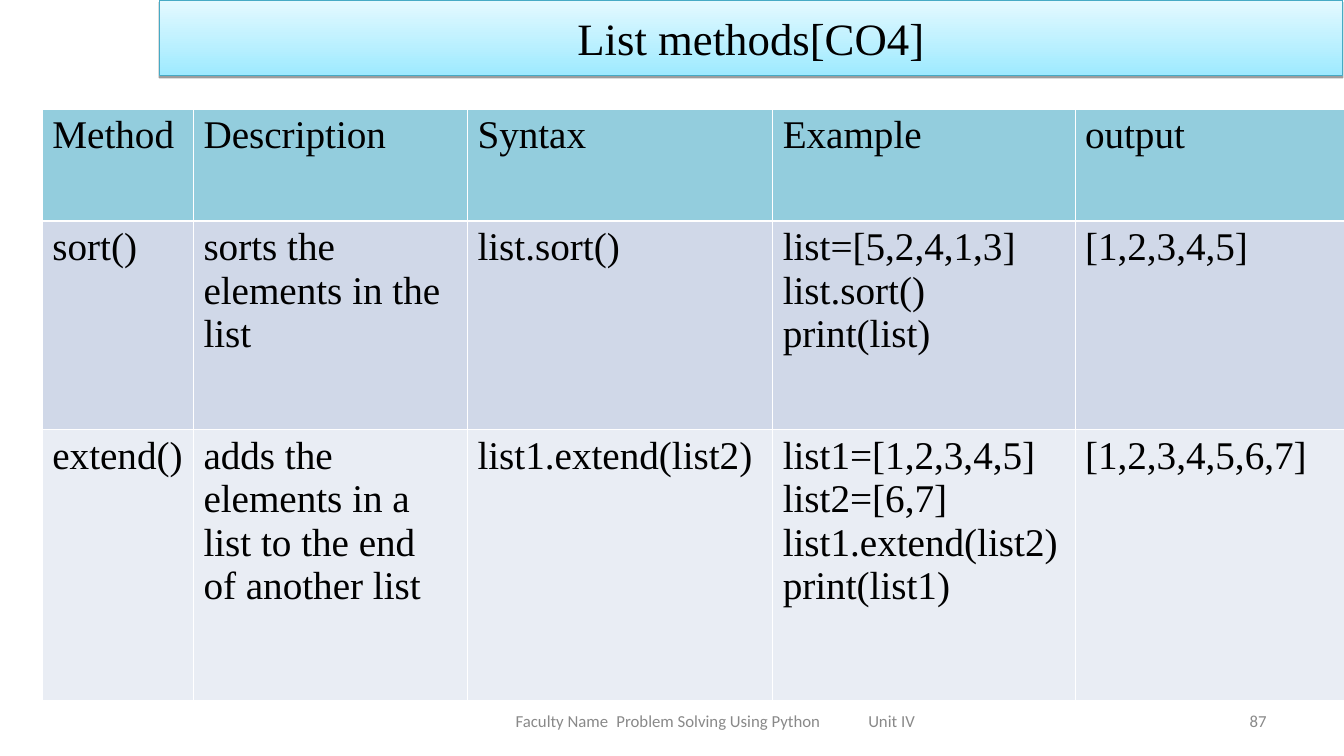
import pptx
import pptx.util
import pptx.oxml
import pptx.oxml.ns
import pptx.dml.color
import pptx.enum.shapes
import pptx.enum.text
import lxml.etree

Inches, Pt = pptx.util.Inches, pptx.util.Pt
Align = pptx.enum.text.PP_ALIGN
Anchor = pptx.enum.text.MSO_ANCHOR
SERIF, SANS = "Times New Roman", "Calibri"

HEADS = ["Method", "Description", "Syntax", "Example", "output"]
ROWS = [
    HEADS,
    ["sort()", "sorts the elements in the list", "list.sort()",
     "list=[5,2,4,1,3]\nlist.sort()\nprint(list)", "[1,2,3,4,5]"],
    ["extend()", "adds the elements in a list to the end of another list",
     "list1.extend(list2)",
     "list1=[1,2,3,4,5]\nlist2=[6,7]\nlist1.extend(list2)\nprint(list1)",
     "[1,2,3,4,5,6,7]"],
]
WIDTHS = [1.5, 2.72, 3.03, 3, 2.67]
HEIGHTS = [1.11, 2.07, 2.69]
FILLS = ["93CDDD", "D0D8E8", "E9EDF4"]


def color(code):
    return pptx.dml.color.RGBColor.from_string(code)


def node(parent, tag, **attrs):
    return lxml.etree.SubElement(parent, pptx.oxml.ns.qn(tag), attrs)


def write(frame, text, size=28, font=SERIF, ink="000000",
          align=Align.LEFT, tabs=(), indent=0):
    """Fill a text frame, one paragraph per line of text."""
    frame.word_wrap = True
    for i, line in enumerate(text.split("\n")):
        para = frame.paragraphs[0] if i == 0 else frame.add_paragraph()
        if tabs:
            props = para._p.get_or_add_pPr()
            props.set("marL", str(Inches(indent)))
            props.set("indent", "0")
            stops = node(props, "a:tabLst")
            for pos in tabs:
                node(stops, "a:tab", pos=str(Inches(pos)), algn="l")
        para.alignment = align
        run = para.add_run()
        run.text = line
        run.font.size = Pt(size)
        run.font.name = font
        run.font.color.rgb = color(ink)


class Deck:
    def __init__(self):
        self.show = pptx.Presentation()
        self.show.slide_width = Inches(13.34)
        self.show.slide_height = Inches(7.5)
        self.slide = self.show.slides.add_slide(self.show.slide_layouts[6])

    def banner(self, box, text):
        shape = self.slide.shapes.add_shape(
            pptx.enum.shapes.MSO_SHAPE.RECTANGLE, *map(Inches, box))
        shape.fill.gradient()
        shape.fill.gradient_angle = 90
        for stop, code in zip(shape.fill.gradient_stops, ["9EEAFF", "E4F9FF"]):
            stop.color.rgb = color(code)
        shape.line.color.rgb = color("46AAC5")
        shape.line.width = Pt(0.75)
        # Thin shadow below the banner
        shape.shadow.inherit = False
        effects = shape._element.spPr.find(pptx.oxml.ns.qn("a:effectLst"))
        shade = node(effects, "a:outerShdw", blurRad="0", dist=str(Pt(1.6)),
                     dir="5400000", rotWithShape="0")
        node(node(shade, "a:srgbClr", val="000000"), "a:alpha", val="38000")
        shape.text_frame.vertical_anchor = Anchor.MIDDLE
        write(shape.text_frame, text, size=32, align=Align.CENTER)

    def label(self, box, text, **style):
        frame = self.slide.shapes.add_textbox(*map(Inches, box)).text_frame
        frame.vertical_anchor = Anchor.MIDDLE
        write(frame, text, size=12, font=SANS, ink="898989", **style)

    def border(self, cell, row):
        props = cell._tc.get_or_add_tcPr()
        for side in "LRTB":
            thick = (row, side) in [(0, "B"), (1, "T")]
            line = node(props, "a:ln" + side, w=str(Pt(1.47 if thick else 0.45)))
            node(node(line, "a:solidFill"), "a:srgbClr", val="FFFFFF")

    def table(self, left, top):
        grid = self.slide.shapes.add_table(
            len(ROWS), len(HEADS), Inches(left), Inches(top),
            Inches(sum(WIDTHS)), Inches(sum(HEIGHTS))).table
        grid.first_row = grid.horz_banding = False
        for col, width in zip(grid.columns, WIDTHS):
            col.width = Inches(width)
        for r, texts in enumerate(ROWS):
            grid.rows[r].height = Inches(HEIGHTS[r])
            for c, text in enumerate(texts):
                cell = grid.cell(r, c)
                self.border(cell, r)
                cell.fill.solid()
                cell.fill.fore_color.rgb = color(FILLS[r])
                write(cell.text_frame, text)


def main():
    deck = Deck()
    # Methods table
    deck.table(0.42, 1.08)
    # Page number
    deck.label((9.56, 6.95, 3.11, 0.4), "87", align=Align.RIGHT)
    # Title
    deck.banner((1.58, 0, 11.75, 0.75), "List methods[CO4]")
    # Footer
    deck.label((4.42, 6.95, 5.5, 0.4),
               "Faculty Name\tProblem Solving Using Python\tUnit IV",
               tabs=(1.75, 4.22), indent=0.6)
    deck.show.save("out.pptx")


if __name__ == "__main__":
    main()
